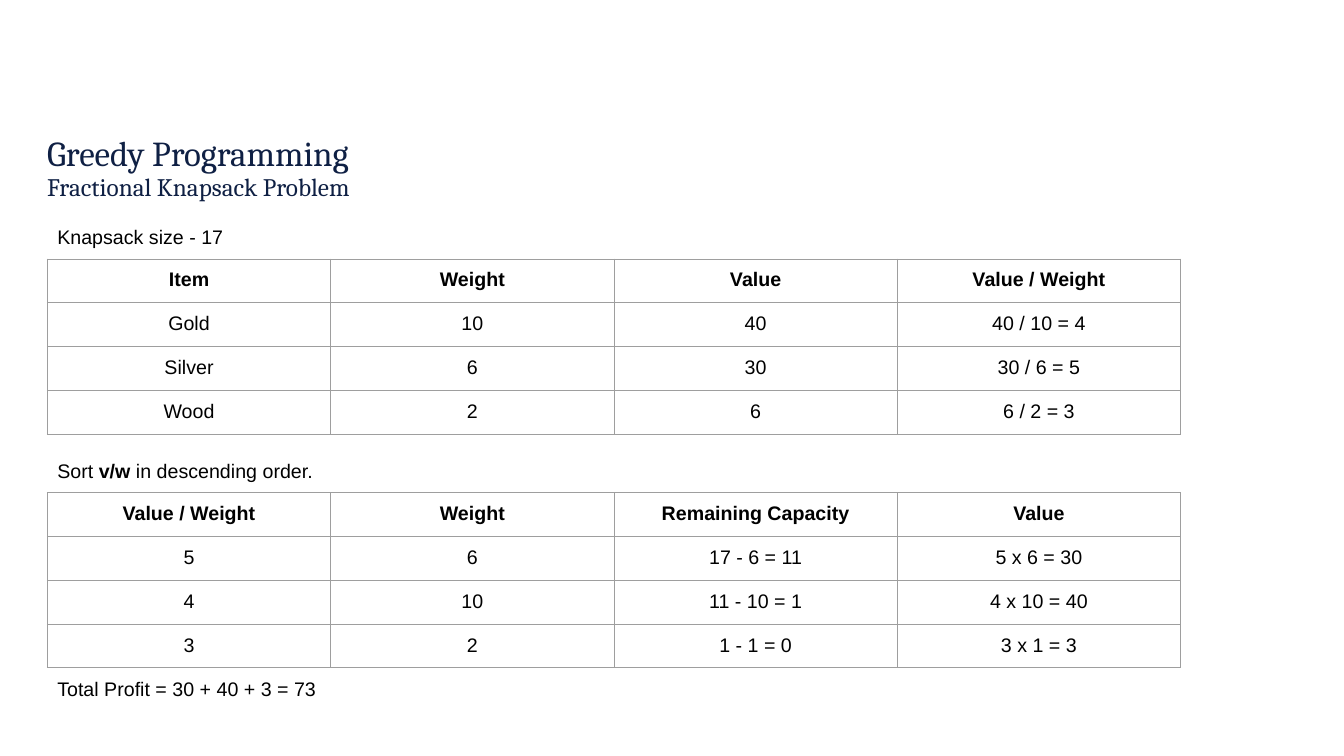
from dataclasses import dataclass

from lxml import etree
from pptx import Presentation
from pptx.dml.color import RGBColor
from pptx.enum.text import MSO_ANCHOR, PP_ALIGN
from pptx.oxml.ns import qn
from pptx.slide import Slide
from pptx.table import _Cell
from pptx.text.text import _Paragraph
from pptx.util import Inches, Pt

CENTER = PP_ALIGN.CENTER
TOP = MSO_ANCHOR.TOP
BOTTOM = MSO_ANCHOR.BOTTOM

NAVY = "0F2044"
BLACK = "000000"
GRAY = "9E9E9E"

LEFT = 0.47
COLUMN_WIDTH = 2.81
CELL_MARGIN = 0.1
BORDER_WIDTH = 0.75
BORDER_SIDES = ("a:lnL", "a:lnR", "a:lnT", "a:lnB")


@dataclass(frozen=True)
class Run:
    text: str
    size: float = 14
    font: str = "Arial"
    color: str = BLACK
    bold: bool = False


@dataclass(frozen=True)
class TextBlock:
    left: float
    top: float
    width: float
    height: float
    paragraphs: tuple[tuple[Run, ...], ...]
    vertical_margin: float = 0.1
    anchor: MSO_ANCHOR = TOP
    line_spacing: float = 1.0


@dataclass(frozen=True)
class Grid:
    top: float
    row_height: float
    rows: tuple[tuple[str, ...], ...]


def note(top: float, *runs: Run) -> TextBlock:
    return TextBlock(LEFT, top, 5.39, 0.44, (runs,))


TEXT_BLOCKS = (
    TextBlock(
        0.37, 1.29, 10, 0.76,
        (
            (Run("Greedy Programming", 25, "Cambria", NAVY),),
            (Run("Fractional Knapsack Problem", 18, "Cambria", NAVY),),
        ),
        vertical_margin=0.05, anchor=BOTTOM, line_spacing=0.9,
    ),
    note(2.13, Run("Knapsack size - 17")),
    note(4.45, Run("Sort "), Run("v/w", bold=True), Run(" in descending order.")),
    note(6.62, Run("Total Profit = 30 + 40 + 3 = 73")),
)

GRIDS = (
    Grid(2.57, 0.42, (
        ("Item", "Weight", "Value", "Value / Weight"),
        ("Gold", "10", "40", "40 / 10 = 4"),
        ("Silver", "6", "30", "30 / 6 = 5"),
        ("Wood", "2", "6", "6 / 2 = 3"),
    )),
    Grid(4.89, 0.43, (
        ("Value / Weight", "Weight", "Remaining Capacity", "Value"),
        ("5", "6", "17 - 6 = 11", "5 x 6 = 30"),
        ("4", "10", "11 - 10 = 1", "4 x 10 = 40"),
        ("3", "2", "1 - 1 = 0", "3 x 1 = 3"),
    )),
)


def rgb(value: str) -> RGBColor:
    return RGBColor.from_string(value)


def apply_format(target: object, values: dict[str, object]) -> None:
    for name, value in values.items():
        setattr(target, name, value)


def add_run(paragraph: _Paragraph, content: Run) -> None:
    run = paragraph.add_run()
    run.text = content.text
    apply_format(run.font, {
        "name": content.font,
        "size": Pt(content.size),
        "bold": content.bold,
    })
    run.font.color.rgb = rgb(content.color)


def add_text_block(slide: Slide, block: TextBlock) -> None:
    shape = slide.shapes.add_textbox(
        Inches(block.left), Inches(block.top), Inches(block.width), Inches(block.height)
    )
    frame = shape.text_frame
    apply_format(frame, {
        "word_wrap": True,
        "vertical_anchor": block.anchor,
        "margin_left": Inches(0.1),
        "margin_right": Inches(0.1),
        "margin_top": Inches(block.vertical_margin),
        "margin_bottom": Inches(block.vertical_margin),
    })
    for index, runs in enumerate(block.paragraphs):
        paragraph = frame.add_paragraph() if index else frame.paragraphs[0]
        paragraph.line_spacing = block.line_spacing
        for run in runs:
            add_run(paragraph, run)


def add_borders(cell: _Cell) -> None:
    properties = cell._tc.get_or_add_tcPr()
    for side in BORDER_SIDES:
        line = etree.SubElement(properties, qn(side), w=str(Pt(BORDER_WIDTH)))
        fill = etree.SubElement(line, qn("a:solidFill"))
        etree.SubElement(fill, qn("a:srgbClr"), val=GRAY)


def fill_cell(cell: _Cell, content: Run) -> None:
    margin = Inches(CELL_MARGIN)
    apply_format(cell, {
        "margin_left": margin,
        "margin_right": margin,
        "margin_top": margin,
        "margin_bottom": margin,
        "vertical_anchor": TOP,
    })
    add_borders(cell)
    cell.fill.background()
    paragraph = cell.text_frame.paragraphs[0]
    paragraph.alignment = CENTER
    add_run(paragraph, content)


def add_grid(slide: Slide, grid: Grid) -> None:
    row_count, column_count = len(grid.rows), len(grid.rows[0])
    table = slide.shapes.add_table(
        row_count, column_count, Inches(LEFT), Inches(grid.top),
        Inches(COLUMN_WIDTH * column_count), Inches(grid.row_height * row_count),
    ).table
    apply_format(table, {"first_row": False, "horz_banding": False})
    for column in table.columns:
        column.width = Inches(COLUMN_WIDTH)
    for row_index, texts in enumerate(grid.rows):
        table.rows[row_index].height = Inches(grid.row_height)
        for column_index, text in enumerate(texts):
            fill_cell(table.cell(row_index, column_index), Run(text, bold=row_index == 0))


def main() -> None:
    presentation = Presentation()
    apply_format(presentation, {
        "slide_width": Inches(13.33),
        "slide_height": Inches(7.5),
    })
    slide = presentation.slides.add_slide(presentation.slide_layouts[6])
    for block in TEXT_BLOCKS:
        add_text_block(slide, block)
    for grid in GRIDS:
        add_grid(slide, grid)
    presentation.save("out.pptx")


if __name__ == "__main__":
    main()
